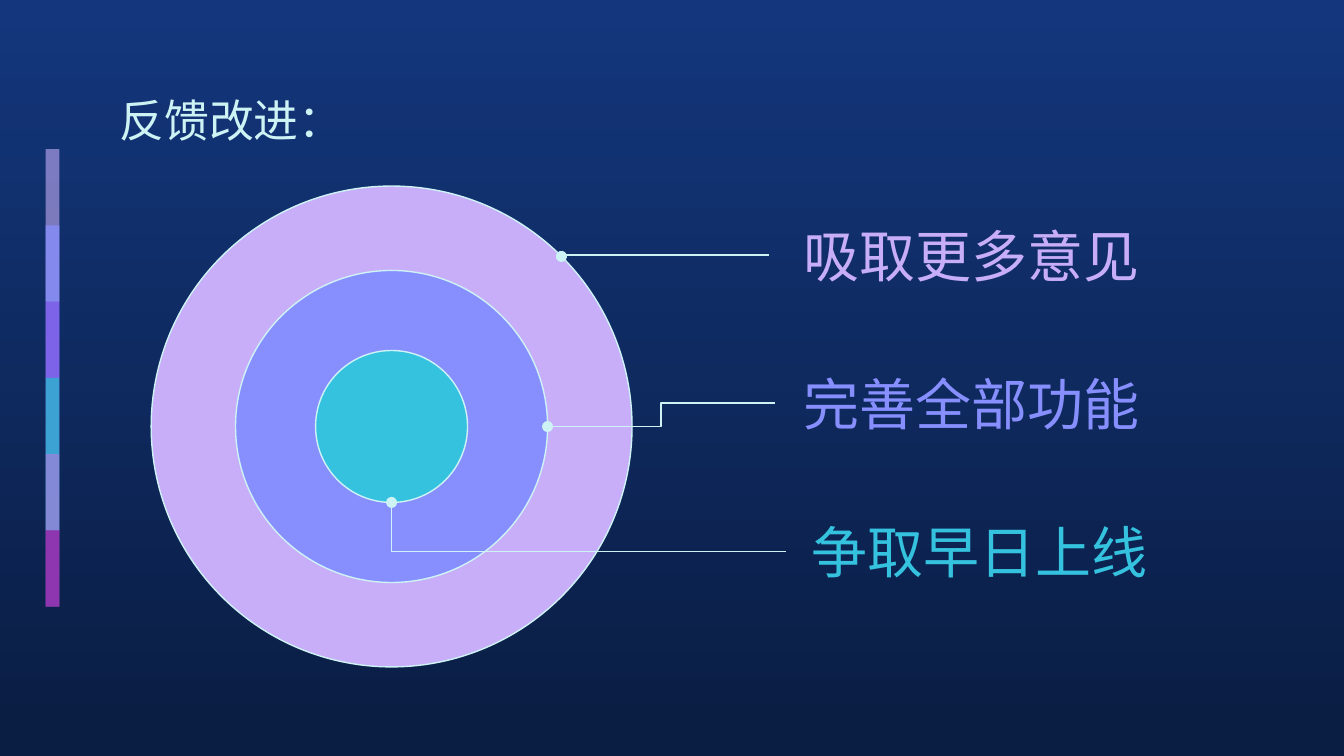
from pptx import Presentation
from pptx.dml.color import RGBColor as RGB
from pptx.enum.shapes import MSO_CONNECTOR as CONN, MSO_SHAPE as SHAPE
from pptx.enum.text import MSO_ANCHOR as ANCHOR, PP_ALIGN as ALIGN
from pptx.oxml.ns import qn
from pptx.util import Pt
from lxml.etree import SubElement as Sub

HUES = {
    "top": "13367C", "base": "0A1D42", "pale": "CEF3F5",
    "lilac": "C8AEF8", "blue": "878FFF", "teal": "35C2DF",
    "violet": "9154F8", "pink": "CA7BEB", "plum": "972CB4",
}


def hue(name):
    return RGB.from_string(HUES[name])


def write(box, text, size, color, align, anchor):
    x, y, w, h = map(Pt, box)
    frame = slide.shapes.add_textbox(x, y, w, h).text_frame
    frame.word_wrap = True
    frame.vertical_anchor = anchor
    frame.margin_left = frame.margin_right = Pt(7.2)
    frame.margin_top = frame.margin_bottom = Pt(7.2)
    para = frame.paragraphs[0]
    para.text = text
    para.alignment = align
    para.font.name = "Arial Narrow"
    para.font.size = Pt(size)
    para.font.color.rgb = hue(color)


deck = Presentation()
deck.slide_width, deck.slide_height = Pt(720), Pt(405)
slide = deck.slides.add_slide(deck.slide_layouts[6])

# Background, dark towards the bottom
back = slide.background.fill
back.gradient()
back.gradient_angle = 270
for stop, name in zip(back.gradient_stops, ("top", "base")):
    stop.color.rgb = hue(name)

# Side strip of overlapping, see-through bars; the last is half as tall
step = 40.85
bars = [("lilac", 59), ("blue", 74), ("violet", 53),
        ("teal", 76), ("pink", 56), ("plum", 74)]
for i, (name, alpha) in enumerate(bars):
    tall = step if i == len(bars) - 1 else 2 * step
    bar = slide.shapes.add_shape(
        SHAPE.RECTANGLE, Pt(24.5), Pt(79.9 + i * step), Pt(7.4), Pt(tall))
    bar.shadow.inherit = False
    bar.fill.solid()
    bar.fill.fore_color.rgb = hue(name)
    bar.line.fill.background()
    color = bar.fill._xPr.find(".//" + qn("a:srgbClr"))
    Sub(color, qn("a:alpha"), val=str(alpha * 1000))

# Title
write((57, 42.5, 590, 40), "反馈改进：", 24, "pale", ALIGN.LEFT, ANCHOR.TOP)

# Rings around one centre
mid_x, mid_y = 209.8, 228.5
for name, wide in (("lilac", 257.6), ("blue", 167.2), ("teal", 81.4)):
    ring = slide.shapes.add_shape(
        SHAPE.OVAL, Pt(mid_x - wide / 2), Pt(mid_y - wide / 2),
        Pt(wide), Pt(wide))
    ring.shadow.inherit = False
    ring.fill.solid()
    ring.fill.fore_color.rgb = hue(name)
    ring.line.color.rgb = hue("pale")
    ring.line.width = Pt(0.75)

# Labels, each with a bent line to its ring
labels = [
    ("吸取更多意见", "lilac", 412, 217.4, (300.8, 137.4), "bentConnector2"),
    ("完善全部功能", "blue", 415, 211, (293.4, mid_y), "bentConnector3"),
    ("争取早日上线", "teal", 421, 208, (mid_x, 269.2), "bentConnector2"),
]
for i, (text, name, left, wide, end, bend) in enumerate(labels):
    top = 108.1 + 79.4 * i
    write((left, top, wide, 57), text, 30, name, ALIGN.CENTER, ANCHOR.MIDDLE)
    line = slide.shapes.add_connector(
        CONN.ELBOW, Pt(left), Pt(top + 28.5), Pt(end[0]), Pt(end[1]))
    line.line.color.rgb = hue("pale")
    line.line.width = Pt(0.75)
    props = line._element.spPr
    props.find(qn("a:prstGeom")).set("prst", bend)
    Sub(line.line._get_or_add_ln(), qn("a:tailEnd"), type="oval")
    Sub(props, qn("a:effectLst"))

deck.save("out.pptx")
